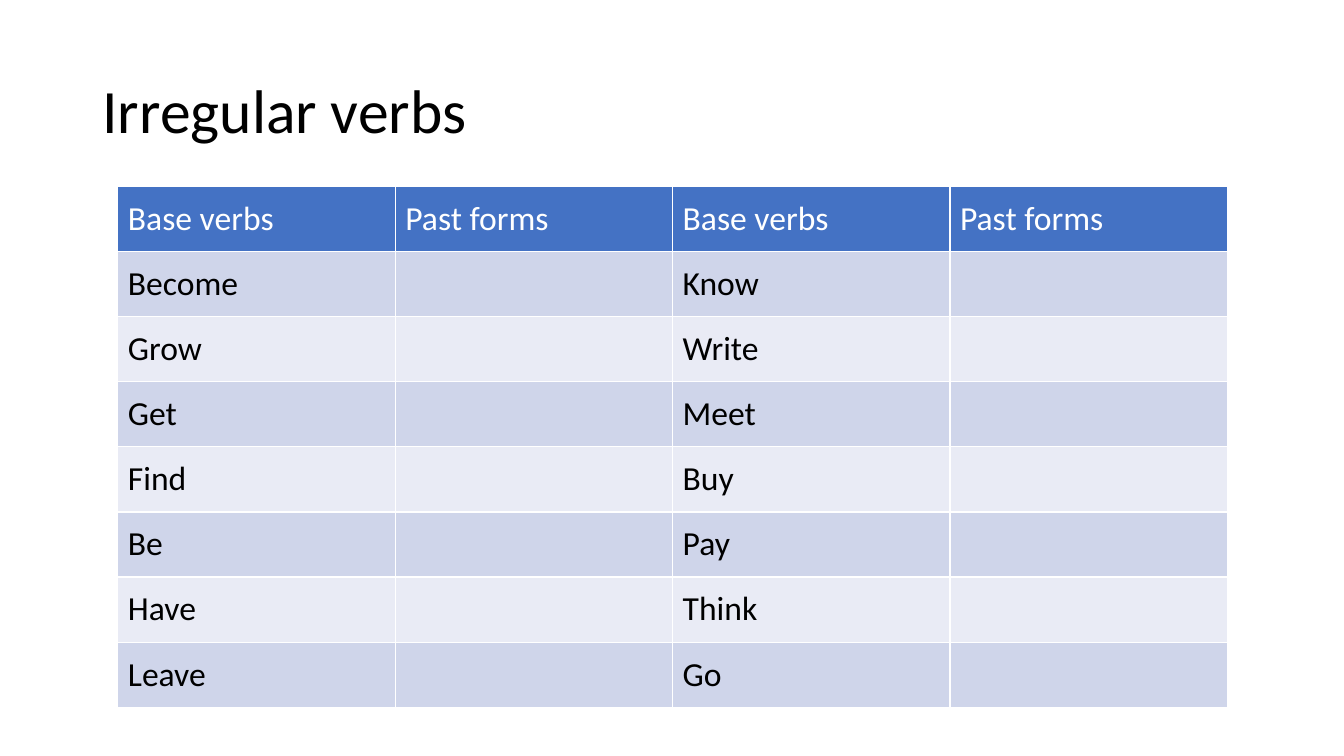
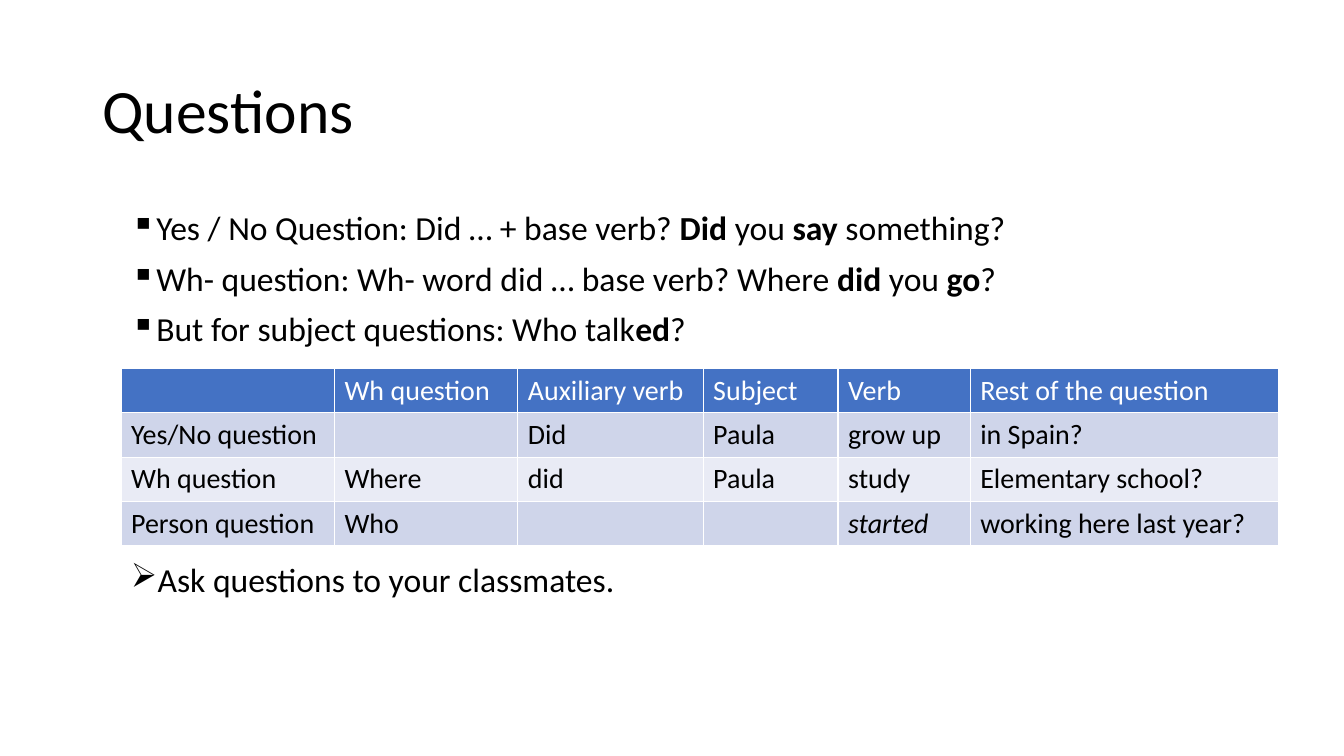
"""Build two grammar slides: irregular verbs and question forms."""
from dataclasses import dataclass
from typing import Any

from lxml.etree import SubElement
from pptx import Presentation
from pptx.dml.color import RGBColor
from pptx.enum.text import MSO_ANCHOR as Anchor, PP_ALIGN as Align
from pptx.oxml.ns import qn
from pptx.slide import Slide
from pptx.util import Cm, Pt

FONT = "Calibri"
COLORS = {"text": "000000", "header": "4472C4", "header_text": "FFFFFF",
          "odd_row": "CFD5EA", "even_row": "E9EBF5"}
TITLE_BOX = {"left": Cm(2.33), "top": Cm(1.01), "width": Cm(29.21), "height": Cm(3.68)}
TITLE_FORMAT = {"alignment": Align.LEFT, "line_spacing": 0.9}
BULLET_INDENT = Cm(0.64)


@dataclass(frozen=True)
class Piece:
    text: str
    bold: bool = False
    italic: bool = False


@dataclass(frozen=True)
class Grid:
    left: float
    top: float
    columns: tuple[float, ...]
    row_height: float
    font_size: int
    anchor: Anchor
    rows: tuple[tuple[str | Piece, ...], ...]


@dataclass(frozen=True)
class BulletList:
    top: float
    height: float
    symbol: str
    items: tuple[tuple[Piece, ...], ...]


VERBS = (("Become", "Know"), ("Grow", "Write"), ("Get", "Meet"), ("Find", "Buy"),
         ("Be", "Pay"), ("Have", "Think"), ("Leave", "Go"))
VERB_GRID = Grid(
    2.97, 4.7, (6.99,) * 4, 1.64, 24, Anchor.MIDDLE,
    (("Base verbs", "Past forms") * 2,
     *((first, "", second, "") for first, second in VERBS)))
QUESTION_GRID = Grid(
    3.05, 9.28, (5.38, 4.62, 4.67, 3.4, 3.33, 7.77), 1.12, 20, Anchor.TOP,
    (("", "Wh question", "Auxiliary verb", "Subject", "Verb", "Rest of the question"),
     ("Yes/No question", "", "Did", "Paula", "grow up", "in Spain?"),
     ("Wh question", "Where", "did", "Paula", "study", "Elementary school?"),
     ("Person question", "Who", "", "", Piece("started", italic=True),
      "working here last year?")))
QUESTION_LISTS = (
    BulletList(5.21, 4, "▪", (
        (Piece("Yes / No Question: Did … + base verb? "), Piece("Did", bold=True),
         Piece(" you "), Piece("say", bold=True), Piece(" something?")),
        (Piece("Wh- question: Wh- word did … base verb? Where "), Piece("did", bold=True),
         Piece(" you "), Piece("go", bold=True), Piece("?")),
        (Piece("But for subject questions: Who talk"), Piece("ed", bold=True), Piece("?")))),
    BulletList(14.07, 1.2, "➢", ((Piece("Ask questions to your classmates."),),)),
)


def set_values(target: Any, values: dict[str, Any]) -> None:
    for name, value in values.items():
        setattr(target, name, value)


def add_run(paragraph: Any, piece: Piece, size: int, color: str = "text") -> None:
    run = paragraph.add_run()
    run.text = piece.text
    set_values(run.font, {"name": FONT, "size": Pt(size),
                          "bold": piece.bold, "italic": piece.italic})
    run.font.color.rgb = RGBColor.from_string(COLORS[color])


def add_titled_slide(presentation: Any, title: str) -> Slide:
    slide = presentation.slides.add_slide(presentation.slide_layouts[5])
    shape = slide.shapes.title
    set_values(shape, TITLE_BOX)
    shape.text_frame.vertical_anchor = Anchor.MIDDLE
    paragraph = shape.text_frame.paragraphs[0]
    set_values(paragraph, TITLE_FORMAT)
    add_run(paragraph, Piece(title), 44)
    return slide


def add_grid(slide: Slide, grid: Grid) -> None:
    table = slide.shapes.add_table(
        len(grid.rows), len(grid.columns), Cm(grid.left), Cm(grid.top),
        Cm(sum(grid.columns)), Cm(grid.row_height * len(grid.rows))).table
    for column, width in zip(table.columns, grid.columns):
        column.width = Cm(width)
    for row_index, (row, contents) in enumerate(zip(table.rows, grid.rows)):
        row.height = Cm(grid.row_height)
        fill = "header" if row_index == 0 else "odd_row" if row_index % 2 else "even_row"
        color = "header_text" if row_index == 0 else "text"
        for cell, content in zip(row.cells, contents):
            cell.fill.solid()
            cell.fill.fore_color.rgb = RGBColor.from_string(COLORS[fill])
            cell.vertical_anchor = grid.anchor
            if content:
                piece = content if isinstance(content, Piece) else Piece(content)
                add_run(cell.text_frame.paragraphs[0], piece, grid.font_size, color)


def add_bullets(slide: Slide, bullets: BulletList) -> None:
    shape = slide.shapes.add_textbox(Cm(3.05), Cm(bullets.top), Cm(29.21), Cm(bullets.height))
    frame = shape.text_frame
    frame.word_wrap = True
    for index, pieces in enumerate(bullets.items):
        paragraph = frame.add_paragraph() if index else frame.paragraphs[0]
        properties = paragraph._p.get_or_add_pPr()
        properties.set("marL", str(BULLET_INDENT))
        properties.set("indent", str(-BULLET_INDENT))
        SubElement(properties, qn("a:buChar")).set("char", bullets.symbol)
        set_values(paragraph, {"line_spacing": 0.9, "space_before": Pt(10 if index else 0)})
        for piece in pieces:
            add_run(paragraph, piece, 24)


def main() -> None:
    presentation = Presentation()
    set_values(presentation, {"slide_width": Cm(33.87), "slide_height": Cm(19.05)})
    add_grid(add_titled_slide(presentation, "Irregular verbs"), VERB_GRID)
    question_slide = add_titled_slide(presentation, "Questions")
    for bullets in QUESTION_LISTS:
        add_bullets(question_slide, bullets)
    add_grid(question_slide, QUESTION_GRID)
    presentation.save("out.pptx")


if __name__ == "__main__":
    main()
